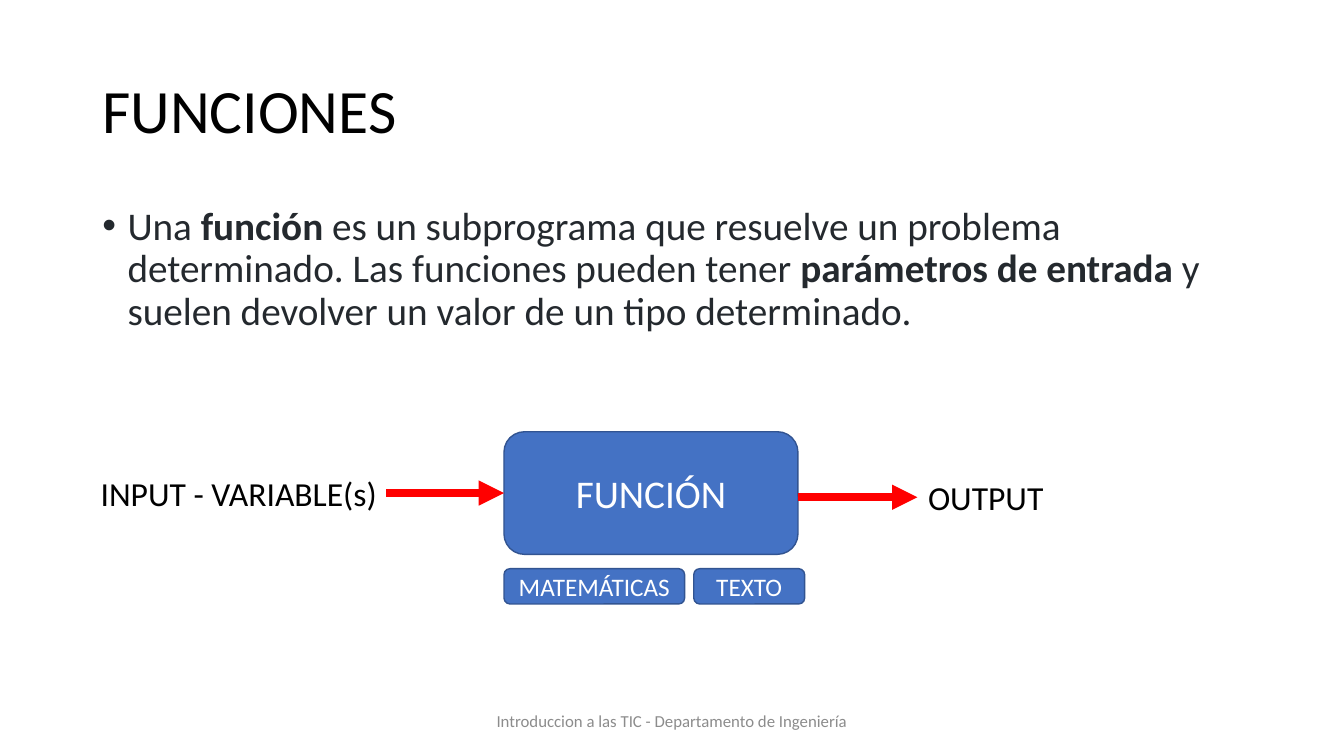
"""Build the slide that explains what a function is, with its input and output."""
from lxml.etree import SubElement
from pptx import Presentation
from pptx.dml.color import RGBColor
from pptx.enum.shapes import MSO_CONNECTOR, MSO_SHAPE
from pptx.enum.text import MSO_ANCHOR as ANCHOR, PP_ALIGN as ALIGN
from pptx.oxml.ns import qn
from pptx.util import Inches, Pt

BLACK = RGBColor(0x00, 0x00, 0x00)
WHITE = RGBColor(0xFF, 0xFF, 0xFF)
INK = RGBColor(0x24, 0x29, 0x2E)
GRAY = RGBColor(0x8C, 0x8C, 0x8C)
BLUE = RGBColor(0x44, 0x72, 0xC4)
NAVY = RGBColor(0x32, 0x54, 0x91)
RED = RGBColor(0xFF, 0x00, 0x00)

deck = Presentation()
deck.slide_width, deck.slide_height = Inches(13.333), Inches(7.5)
COL, ROW = deck.slide_width / 160, deck.slide_height / 90
slide = deck.slides.add_slide(deck.slide_layouts[6])


def place(left, top, width, height):
    return round(left * COL), round(top * ROW), round(width * COL), round(height * ROW)


def write(holder, runs, size, color, align=ALIGN.LEFT, anchor=ANCHOR.MIDDLE):
    frame = holder.text_frame
    frame.word_wrap = True
    frame.vertical_anchor = anchor
    paragraph = frame.paragraphs[0]
    paragraph.alignment = align
    for words, bold in runs:
        run = paragraph.add_run()
        run.text = words
        run.font.name, run.font.size, run.font.bold = "Calibri", Pt(size), bold
        run.font.color.rgb = color
    return paragraph


title = slide.shapes.add_textbox(*place(11, 4.8, 138, 17.4))
write(title, [("FUNCIONES", False)], 44, BLACK).line_spacing = 0.9

definition = slide.shapes.add_textbox(*place(11, 24, 138, 57))
sentence = write(definition, [
    ("Una\u00a0", False),
    ("función", True),
    ("\u00a0es un subprograma que resuelve un problema determinado. "
     "Las funciones pueden tener\u00a0", False),
    ("parámetros de entrada", True),
    ("\u00a0y suelen devolver un valor de un tipo determinado.", False),
], 28, INK, anchor=ANCHOR.TOP)
sentence.line_spacing, sentence.space_before = 0.9, Pt(10)
indents = sentence._p.get_or_add_pPr()
indents.set("marL", str(Inches(0.25)))
indents.set("indent", str(-Inches(0.25)))
SubElement(indents, qn("a:buFont"), typeface="Arial")
SubElement(indents, qn("a:buChar"), char="•")

footer = slide.shapes.add_textbox(*place(53, 83.4, 54, 4.8))
write(footer, [("Introduccion a las TIC - Departamento de Ingeniería", False)],
      12, GRAY, ALIGN.CENTER)

for name, size, left, top, width, height in (
    ("FUNCIÓN", 28, 60, 51.4, 35, 14.6),
    ("MATEMÁTICAS", 18, 60, 67.7, 21.5, 4.2),
    ("TEXTO", 18, 82.6, 67.7, 13.2, 4.2),
):
    block = slide.shapes.add_shape(MSO_SHAPE.ROUNDED_RECTANGLE, *place(left, top, width, height))
    block.shadow.inherit = False
    block.fill.solid()
    block.fill.fore_color.rgb = BLUE
    block.line.color.rgb, block.line.width = NAVY, Pt(1)
    write(block, [(name, False)], size, WHITE, ALIGN.CENTER)

for label, label_left, label_top, start, end, level in (
    ("INPUT - VARIABLE(s)", 10.8, 55.7, 46, 60, 58.7),
    ("OUTPUT", 109.3, 56.2, 95, 109.2, 59.2),
):
    caption = slide.shapes.add_textbox(*place(label_left, label_top, 37.2, 6))
    write(caption, [(label, False)], 24, BLACK, anchor=ANCHOR.TOP)
    flow = slide.shapes.add_connector(MSO_CONNECTOR.STRAIGHT, *place(start, level, end, level))
    flow.line.color.rgb, flow.line.width = RED, Pt(6)
    SubElement(flow.line._get_or_add_ln(), qn("a:tailEnd"), type="triangle")
    SubElement(flow._element.spPr, qn("a:effectLst"))

deck.save("out.pptx")
